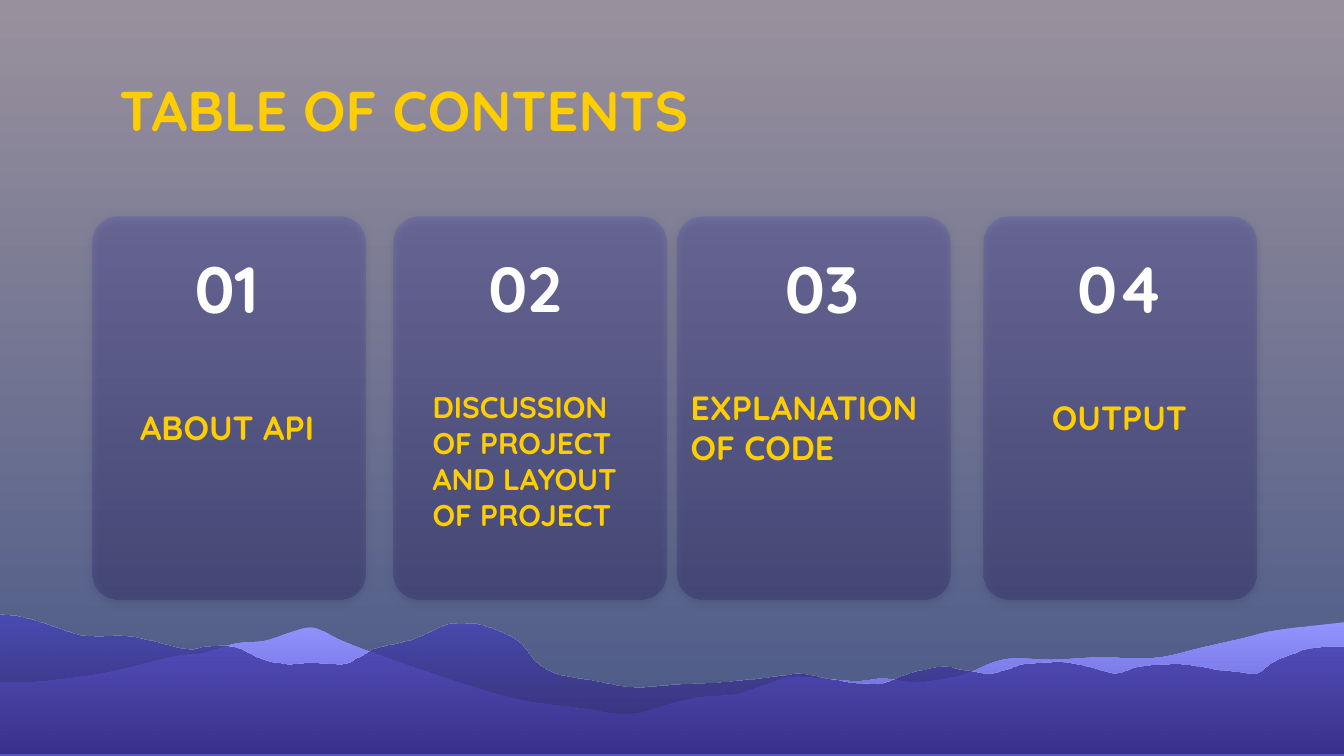
"""Build a table of contents slide with four cards above layered hills."""
import dataclasses

import pptx
import pptx.dml.color
import pptx.enum.shapes
import pptx.enum.text
import pptx.oxml
import pptx.oxml.ns
import pptx.util

Inches = pptx.util.Inches
Align = pptx.enum.text.PP_ALIGN
Anchor = pptx.enum.text.MSO_ANCHOR

SHADOW = (
    '<a:outerShdw xmlns:a="http://schemas.openxmlformats.org/drawingml/2006/main" '
    'blurRad="57150" dist="19050" dir="5400000" algn="bl" rotWithShape="0">'
    '<a:srgbClr val="000000"><a:alpha val="50000"/></a:srgbClr></a:outerShdw>'
)

BACK_RIDGE = [
    (0, 5.08), (0.1, 5.08), (0.33, 5.07), (0.78, 5.01), (1.28, 4.89), (1.52, 4.86),
    (1.75, 4.79), (1.97, 4.77), (2.15, 4.71), (2.3, 4.67), (2.41, 4.7), (2.57, 4.78),
    (3.0, 4.94), (3.54, 5.12), (3.92, 5.22), (4.31, 5.27), (4.68, 5.32), (4.95, 5.25),
    (5.21, 5.19), (5.47, 5.17), (5.69, 5.1), (5.89, 5.04), (6.1, 5.05), (6.38, 5.07),
    (6.58, 5.05), (6.82, 5.08), (7.1, 5.04), (7.23, 5.0), (7.39, 4.93), (7.55, 4.9),
    (7.83, 4.91), (8.21, 4.89), (8.39, 4.9), (8.65, 4.89), (8.94, 4.82), (9.25, 4.75),
    (9.5, 4.69), (10.01, 4.63),
]
FRONT_RIDGE = [
    (0, 4.57), (0.17, 4.59), (0.4, 4.66), (0.63, 4.73), (0.9, 4.73), (1.06, 4.75),
    (1.4, 4.83), (1.52, 4.81), (1.74, 4.81), (1.94, 4.9), (2.13, 4.94), (2.31, 4.93),
    (2.55, 4.94), (2.67, 4.89), (2.8, 4.82), (3.06, 4.76), (3.31, 4.65), (3.42, 4.64),
    (3.59, 4.65), (3.84, 4.76), (3.98, 4.92), (4.13, 5.01), (4.4, 5.06), (4.71, 5.11),
    (5.06, 5.09), (5.43, 5.07), (5.78, 5.03), (5.95, 5.01), (6.12, 5.04), (6.36, 5.08),
    (6.57, 5.08), (6.76, 5.01), (7.0, 4.96), (7.15, 4.98), (7.35, 5.01), (7.49, 4.98),
    (7.61, 4.94), (7.79, 4.93), (7.89, 4.92), (8.1, 4.96), (8.3, 5.01), (8.47, 4.96),
    (8.78, 4.94), (9.05, 4.98), (9.22, 5.0), (9.35, 5.01), (9.46, 4.93), (9.6, 4.87),
    (9.76, 4.82), (10.01, 4.81),
]


@dataclasses.dataclass(frozen=True)
class Theme:
    font: str = "Quicksand"
    gold: str = "FFCE00"
    white: str = "FFFFFF"
    sky: tuple = ("99909D", "495887")
    far_hill: tuple = ("9393FF", "4846BB")
    near_hill: tuple = ("4846BB", "281B66")
    heading_size: int = 30
    number_size: int = 35
    small_number_size: int = 34
    label_size: int = 18
    small_label_size: int = 16


def smooth(knots, steps=4):
    """Return points on a Catmull-Rom curve through the knots."""
    padded = [knots[0], *knots, knots[-1]]
    points = [knots[0]]
    for before, start, end, after in zip(padded, padded[1:], padded[2:], padded[3:]):
        for step in range(1, steps + 1):
            t = step / steps
            points.append(tuple(
                0.5 * (2 * b + (c - a) * t + (2 * a - 5 * b + 4 * c - d) * t ** 2
                       + (3 * b - a - 3 * c + d) * t ** 3)
                for a, b, c, d in zip(before, start, end, after)))
    return points


class SlideBuilder:
    def __init__(self, page, theme):
        self.page = page
        self.theme = theme

    def gradient(self, fill, colors):
        fill.gradient()
        fill.gradient_angle = 270
        for stop, color in zip(fill.gradient_stops, colors):
            stop.color.rgb = pptx.dml.color.RGBColor.from_string(color)

    def background(self):
        self.gradient(self.page.background.fill, self.theme.sky)

    def paint(self, shape, colors, opacities=()):
        self.gradient(shape.fill, colors)
        shape.line.fill.background()
        shape.shadow.inherit = False
        colors_xml = shape.element.spPr.iter(pptx.oxml.ns.qn("a:srgbClr"))
        for color, opacity in zip(list(colors_xml), opacities):
            alpha = color.makeelement(pptx.oxml.ns.qn("a:alpha"), {"val": str(opacity * 1000)})
            color.append(alpha)

    def hill(self, ridge, bottom, colors, opacities=()):
        outline = smooth(ridge) + [(ridge[-1][0], bottom), (ridge[0][0], bottom)]
        points = [(Inches(x), Inches(y)) for x, y in outline]
        builder = self.page.shapes.build_freeform(*points[0], scale=1.0)
        builder.add_line_segments(points[1:], close=True)
        self.paint(builder.convert_to_shape(), colors, opacities)

    def card(self, left):
        card = self.page.shapes.add_shape(
            pptx.enum.shapes.MSO_SHAPE.ROUNDED_RECTANGLE,
            Inches(left), Inches(1.61), Inches(2.03), Inches(2.85))
        card.adjustments[0] = 0.094
        self.paint(card, self.theme.near_hill, (25, 25))
        effects = card.element.spPr.find(pptx.oxml.ns.qn("a:effectLst"))
        effects.append(pptx.oxml.parse_xml(SHADOW))

    def text(self, words, place, size, color, anchor=Anchor.TOP, align=Align.LEFT):
        box = self.page.shapes.add_textbox(*(Inches(length) for length in place))
        frame = box.text_frame
        frame.word_wrap = True
        frame.vertical_anchor = anchor
        frame.margin_left = frame.margin_right = Inches(0.1)
        frame.margin_top = frame.margin_bottom = Inches(0.1)
        para = frame.paragraphs[0]
        para.text = words
        para.alignment = align
        para.font.name = self.theme.font
        para.font.size = pptx.util.Pt(size)
        para.font.bold = True
        para.font.color.rgb = pptx.dml.color.RGBColor.from_string(color)


def main():
    theme = Theme()
    deck = pptx.Presentation()
    deck.slide_width = Inches(10)
    deck.slide_height = deck.slide_width * 9 // 16
    slide = SlideBuilder(deck.slides.add_slide(deck.slide_layouts[6]), theme)

    slide.background()
    slide.hill(BACK_RIDGE, 5.86, theme.far_hill)
    slide.hill(FRONT_RIDGE, 5.61, theme.near_hill, (84, 63))
    slide.text("TABLE OF CONTENTS", (0.79, 0.46, 8.43, 0.63), theme.heading_size, theme.gold)

    sections = [
        (0.69, 1.24, theme.number_size, "ABOUT API",
         (0.82, 2.8, 1.74, 0.63), theme.label_size, Align.CENTER),
        (2.93, 3.46, theme.small_number_size, "DISCUSSION OF PROJECT AND LAYOUT OF PROJECT",
         (3.12, 3.43, 1.65, 0.63), theme.small_label_size, Align.LEFT),
        (5.04, 5.67, theme.number_size, "EXPLANATION OF CODE",
         (5.04, 2.83, 2.13, 0.75), theme.label_size, Align.LEFT),
        (7.32, 7.89, theme.number_size, "OUTPUT",
         (7.46, 2.72, 1.74, 0.63), theme.label_size, Align.CENTER),
    ]
    for order, section in enumerate(sections, 1):
        card_left, number_left, number_size, label, place, label_size, align = section
        slide.card(card_left)
        slide.text(f"{order:02}", (number_left, 1.82, 0.89, 0.63), number_size,
                   theme.white, Anchor.MIDDLE, Align.CENTER)
        slide.text(label, place, label_size, theme.gold, Anchor.BOTTOM, align)

    deck.save("out.pptx")


if __name__ == "__main__":
    main()
